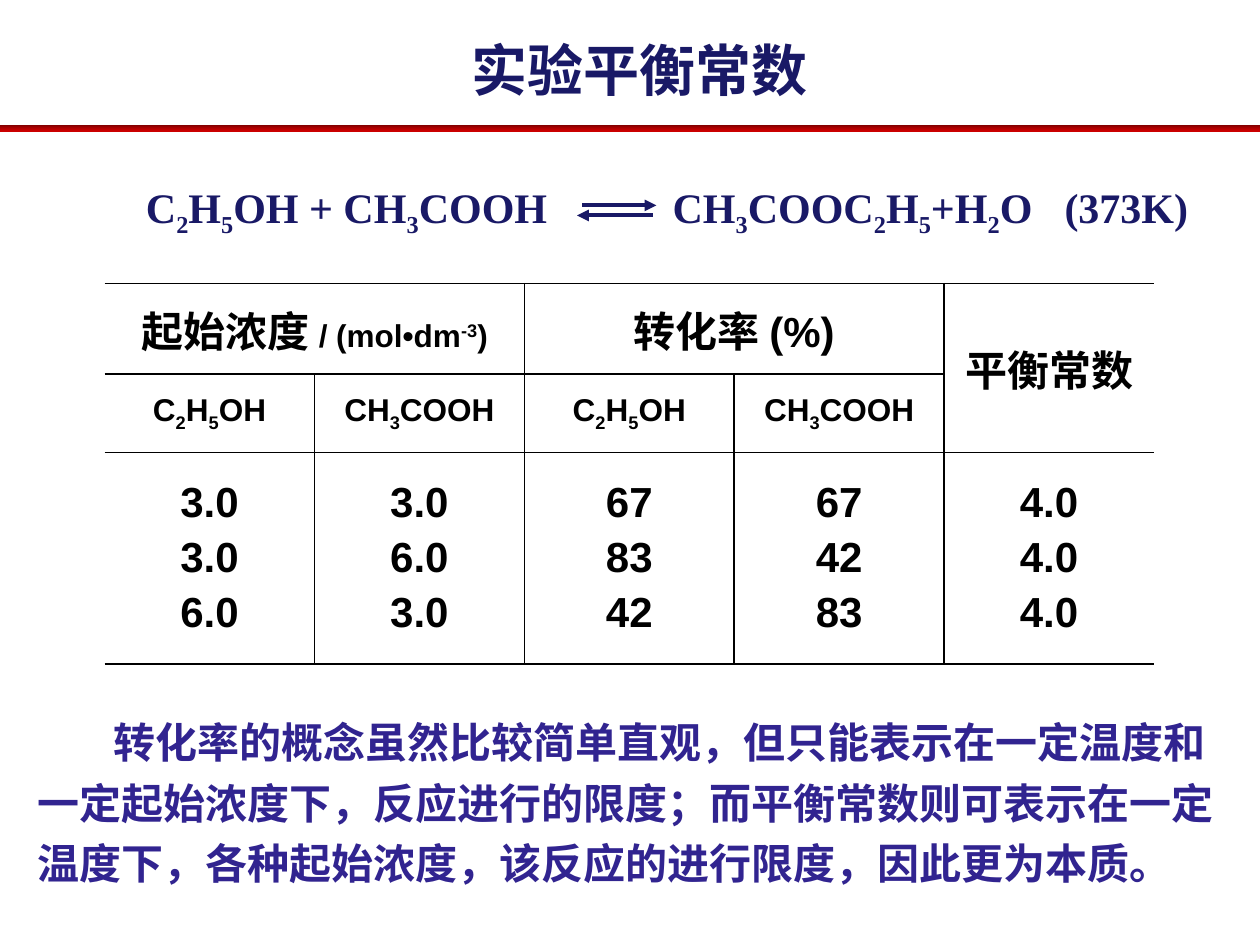
from copy import deepcopy
from dataclasses import dataclass

from lxml import etree
from pptx import Presentation, util as u
from pptx.dml.color import RGBColor
from pptx.enum import shapes, text
from pptx.oxml import ns

COLUMNS, ROWS = 100, 75  # slide grid
UNIT = u.Inches(0.1)
SUBSCRIPT, SUPERSCRIPT = "-25000", "30000"


@dataclass(frozen=True)
class Theme:
    sans: str = "Arial"
    serif: str = "Times New Roman"
    navy: str = "191966"
    violet: str = "312490"
    black: str = "000000"
    rule: tuple = ((0, "790000"), (0.5, "AC0000"), (1, "CC0000"))
    title: int = 32
    body: int = 24
    small: int = 18


THEME = Theme()


@dataclass(frozen=True)
class Box:
    """A region in grid columns and rows."""
    left: float
    top: float
    width: float
    height: float

    def lengths(self):
        return [round(value * UNIT) for value in (self.left, self.top, self.width, self.height)]

    def point(self, across, down):
        return round((self.left + across) * UNIT), round((self.top + down) * UNIT)


def add_element(parent, tag, **attributes):
    return etree.SubElement(parent, ns.qn(tag), attributes)


def set_font(paragraph, size, color, name=THEME.sans):
    font = paragraph.font
    font.name, font.size, font.bold = name, u.Pt(size), True
    font.color.rgb = RGBColor.from_string(color)


def add_runs(paragraph, marked, script=SUBSCRIPT, size=None):
    """Pieces between underscores are set as sub- or superscript."""
    for index, piece in enumerate(marked.split("_")):
        if not piece:
            continue
        run = paragraph.add_run()
        run.text = piece
        if size:
            run.font.size = u.Pt(size)
        if index % 2:
            run._r.get_or_add_rPr().set("baseline", script)


def add_text_box(parent, box):
    frame = parent.add_textbox(*box.lengths()).text_frame
    frame.word_wrap = True
    return frame


def add_title(slide, box):
    frame = add_text_box(slide.shapes, box)
    frame.vertical_anchor = text.MSO_ANCHOR.MIDDLE
    paragraph = frame.paragraphs[0]
    paragraph.alignment = text.PP_ALIGN.CENTER
    add_runs(paragraph, "实验平衡常数")
    set_font(paragraph, THEME.title, THEME.navy)


def add_rule(slide, box):
    shape = slide.shapes.add_shape(shapes.MSO_SHAPE.RECTANGLE, *box.lengths())
    shape.shadow.inherit = False
    shape.line.fill.background()
    shape.fill.gradient()
    shape.fill.gradient_angle = 270
    stops = shape._element.spPr.find(ns.qn("a:gradFill")).find(ns.qn("a:gsLst"))
    stops.append(deepcopy(stops[-1]))
    for stop, (position, color) in zip(shape.fill.gradient_stops, THEME.rule):
        stop.position = position
        stop.color.rgb = RGBColor.from_string(color)


def add_equation(slide, box):
    group = slide.shapes.add_group_shape()
    paragraph = add_text_box(group.shapes, box).paragraphs[0]
    add_runs(paragraph, "\tC_2_H_5_OH + CH_3_COOH\tCH_3_COOC_2_H_5_+H_2_O\t(373K)")
    # Reactants, products and temperature start at tab stops
    tabs = add_element(paragraph._p.get_or_add_pPr(), "a:tabLst")
    for inches in (0.71, 4.89, 8):
        add_element(tabs, "a:tab", pos=str(u.Inches(inches)), algn="l")
    set_font(paragraph, THEME.body, THEME.navy, THEME.serif)

    # Forward and backward arrows
    for start, end, down in ((42.7, 48.6, 2.4), (48.3, 42.3, 3.2)):
        arrow = group.shapes.add_connector(
            shapes.MSO_CONNECTOR.STRAIGHT, *box.point(start, down), *box.point(end, down))
        arrow.line.color.rgb = RGBColor.from_string(THEME.navy)
        arrow.line.width = u.Pt(2.25)
        add_element(arrow.line._get_or_add_ln(), "a:tailEnd", type="triangle")
        add_element(arrow._element.spPr, "a:effectLst")


def set_borders(cell, drawn):
    properties = cell._tc.get_or_add_tcPr()
    for index, side in enumerate("LRTB"):
        line = etree.Element(ns.qn(f"a:ln{side}"), w=str(u.Pt(1)))
        if side in drawn:
            fill = add_element(line, "a:solidFill")
            add_element(fill, "a:srgbClr", val=THEME.black)
        else:
            add_element(line, "a:noFill")
        properties.insert(index, line)


def fill_cell(cell, lines, size=THEME.body, unit=""):
    cell.vertical_anchor = text.MSO_ANCHOR.MIDDLE
    for index, line in enumerate(lines):
        frame = cell.text_frame
        paragraph = frame.add_paragraph() if index else frame.paragraphs[0]
        paragraph.alignment = text.PP_ALIGN.CENTER
        if index:
            paragraph.space_before = u.Pt(0.2 * size)
        add_runs(paragraph, line)
        if unit:
            add_runs(paragraph, unit, SUPERSCRIPT, THEME.small)
        set_font(paragraph, size, THEME.black)


def add_results(slide, box):
    substances = ("C_2_H_5_OH", "CH_3_COOH") * 2
    results = (("3.0", "3.0", "6.0"), ("3.0", "6.0", "3.0"),
               ("67", "83", "42"), ("67", "42", "83"), ("4.0",) * 3)
    row_heights = (7.2, 6.2, 16.8)
    last = len(results) - 1
    table = slide.shapes.add_table(len(row_heights), len(results), *box.lengths()).table
    table.first_row = table.horz_banding = False
    for row, height in zip(table.rows, row_heights):
        row.height = round(height * UNIT)

    # Open outer sides, ruled inside
    for row in range(len(row_heights)):
        for column in range(len(results)):
            cell = table.cell(row, column)
            cell.fill.background()
            set_borders(cell, "TB" + "L" * (column > 0) + "R" * (column < last))

    # Headings
    for start, end in (((0, 0), (0, 1)), ((0, 2), (0, 3)), ((0, last), (1, last))):
        table.cell(*start).merge(table.cell(*end))
    fill_cell(table.cell(0, 0), ["起始浓度 "], unit="/ (mol•dm_-3_)")
    fill_cell(table.cell(0, 2), ["转化率 (%)"])
    fill_cell(table.cell(0, last), ["平衡常数"])
    for column, substance in enumerate(substances):
        fill_cell(table.cell(1, column), [substance], THEME.small)

    # Values
    for column, values in enumerate(results):
        fill_cell(table.cell(2, column), values)


def add_conclusion(slide, box):
    paragraph = add_text_box(slide.shapes, box).paragraphs[0]
    paragraph.line_spacing = 1.2
    paragraph._p.get_or_add_pPr().set("indent", str(u.Inches(0.6)))
    add_runs(paragraph, "转化率的概念虽然比较简单直观，但只能表示在一定温度和一定起始浓度下，"
                        "反应进行的限度；而平衡常数则可表示在一定温度下，各种起始浓度，"
                        "该反应的进行限度，因此更为本质。")
    set_font(paragraph, THEME.body, THEME.violet)


def main():
    presentation = Presentation()
    presentation.slide_width = COLUMNS * UNIT
    presentation.slide_height = ROWS * UNIT
    slide = presentation.slides.add_slide(presentation.slide_layouts[6])
    add_rule(slide, Box(0, 9.9, COLUMNS, 0.5))
    add_title(slide, Box(8.3, 1.3, 85, 8.3))
    add_equation(slide, Box(3.5, 13.9, 92.9, 5.1))
    add_results(slide, Box(8.3, 22.5, 83.3, 30.2))
    add_conclusion(slide, Box(2, 55.6, 96.1, 15.6))
    presentation.save("out.pptx")


if __name__ == "__main__":
    main()
